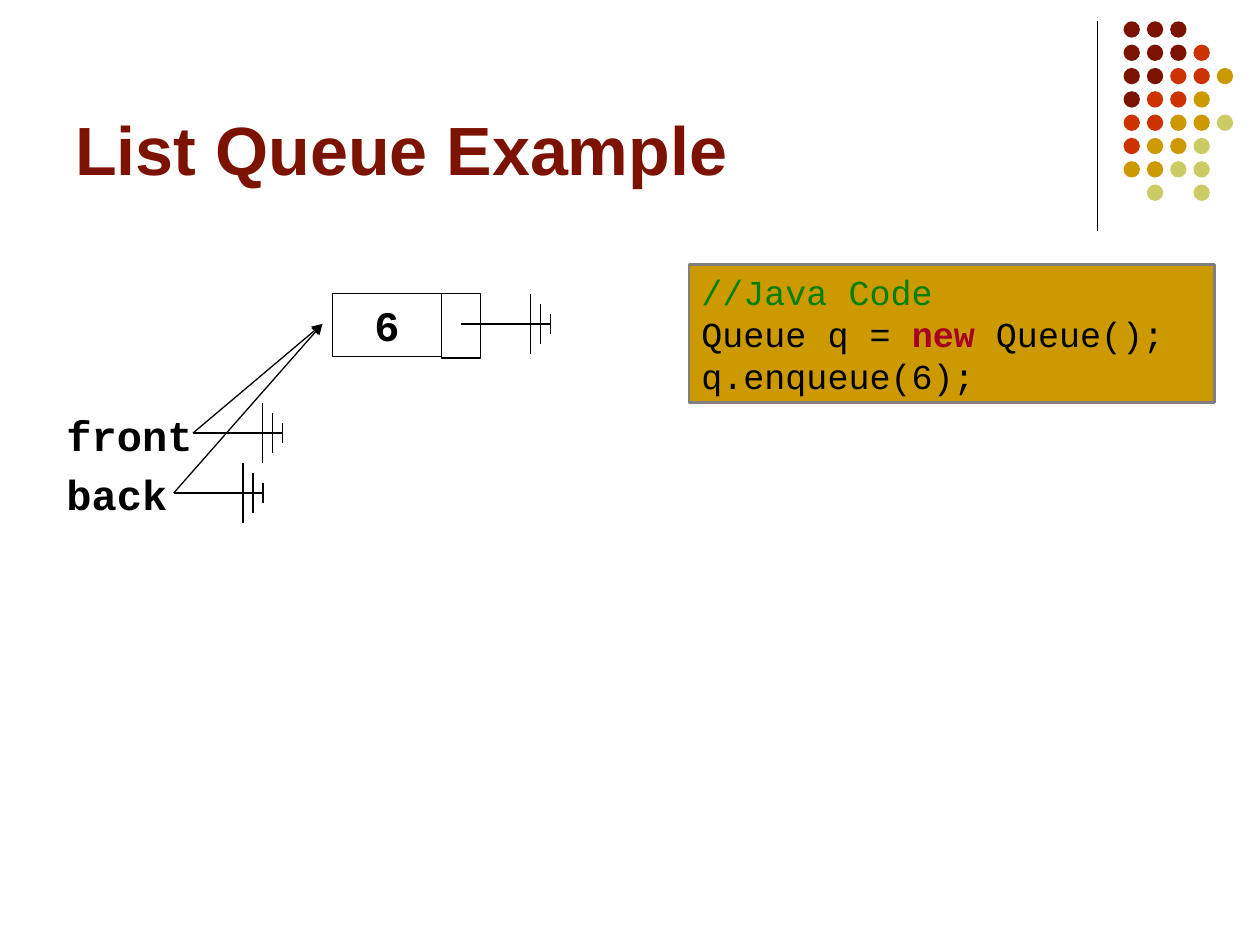
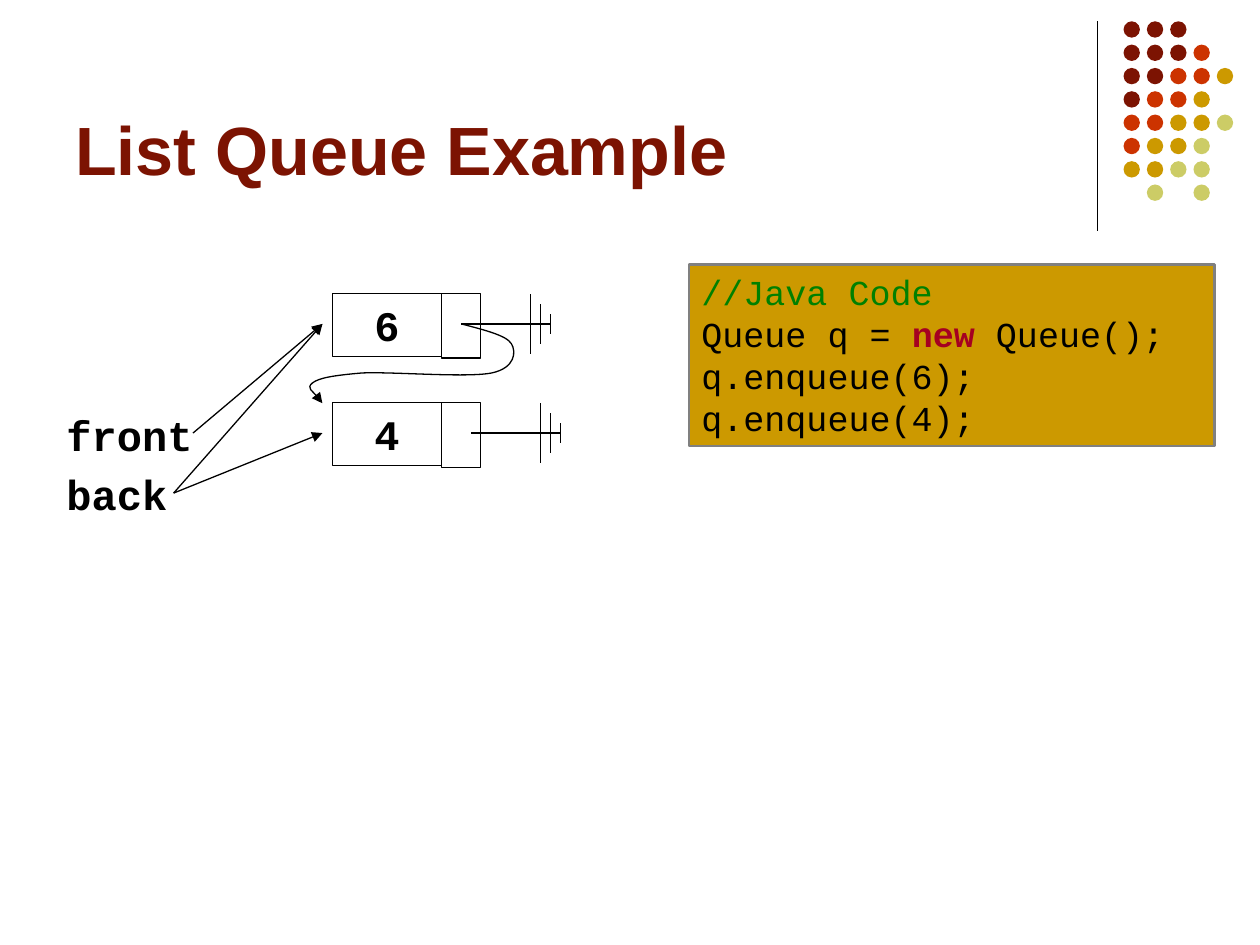
import pptx
import pptx.dml.color
import pptx.enum.shapes
import pptx.enum.text
import pptx.oxml.ns
import pptx.util
from lxml import etree
from pptx.util import Cm

BLACK = "000000"
MAROON = "7C1302"
RED = "CC3300"
GOLD = "CC9900"
OLIVE = "CCCC66"
CODE_FONT = "Courier New"
DOT_COLOURS = {"M": MAROON, "R": RED, "G": GOLD, "O": OLIVE}
DOT_ROWS = ["MMM", "MMMR", "MMRRG", "MRRG", "RRGGO", "RGGO", "GGOO", " O O"]
DOT_PITCH = 0.47

NODE_LEFT, NODE_TOP, NODE_WIDTH, NODE_PITCH = 6.7, 5.92, 2.2, 2.2
FRONT_TAIL = (3.89, 8.73)
BACK_TAIL = (3.5, 9.94)
FIRST_NODE = (6.5, 6.53)
SECOND_NODE = (6.5, 8.73)
FIRST_LINK = (9.3, 6.53)
SECOND_LINK = (9.5, 8.73)
LINK_CURVE = [
    FIRST_LINK,
    (9.75, 6.65), (10.21, 6.76), (10.31, 6.93),
    (10.41, 7.09), (10.39, 7.42), (9.91, 7.52),
    (9.4, 7.62), (7.9, 7.49), (7.29, 7.52),
    (6.71, 7.57), (6.43, 7.62), (6.3, 7.72),
    (6.17, 7.82), (6.48, 8.05), (6.5, 8.13),
]
GROUND_PLATES = [(1.4, 0.6), (1.6, 0.4), (1.8, 0.2)]

CODE_START = [
    [("//Java Code", {"colour": "008000"})],
    [("Queue q = ", {}), ("new", {"colour": "A50021", "bold": True}), (" Queue();", {})],
    [("q.enqueue(6);", {})],
]
STEPS = [
    {
        "values": ["6"],
        "code": CODE_START,
        "code_height": 2.79,
        "arrows": [(BACK_TAIL, FIRST_NODE), (FRONT_TAIL, FIRST_NODE)],
        "grounds": [FIRST_LINK, FRONT_TAIL, BACK_TAIL],
        "curves": [],
    },
    {
        "values": ["6", "4"],
        "code": CODE_START + [[("q.enqueue(4);", {})]],
        "code_height": 3.66,
        "arrows": [(BACK_TAIL, FIRST_NODE), (FRONT_TAIL, FIRST_NODE), (BACK_TAIL, SECOND_NODE)],
        "grounds": [SECOND_LINK, FIRST_LINK],
        "curves": [LINK_CURVE],
    },
]


def rgb(colour):
    return pptx.dml.color.RGBColor.from_string(colour)


def write_text(shape, lines, font=CODE_FONT, size=24, colour=BLACK, bold=True,
               align="LEFT", anchor="TOP", space_before=0):
    frame = shape.text_frame
    frame.word_wrap = True
    frame.vertical_anchor = getattr(pptx.enum.text.MSO_ANCHOR, anchor)
    if isinstance(lines, str):
        lines = [[(lines, {})]]
    for index, line in enumerate(lines):
        paragraph = frame.add_paragraph() if index else frame.paragraphs[0]
        paragraph.alignment = getattr(pptx.enum.text.PP_ALIGN, align)
        paragraph.space_before = pptx.util.Pt(space_before)
        for text, changes in line:
            run = paragraph.add_run()
            run.text = text
            run.font.name = font
            run.font.size = pptx.util.Pt(size)
            run.font.bold = changes.get("bold", bold)
            run.font.color.rgb = rgb(changes.get("colour", colour))


qn = pptx.oxml.ns.qn
shape_types = pptx.enum.shapes.MSO_SHAPE
presentation = pptx.Presentation()
presentation.slide_width = Cm(25.4)
presentation.slide_height = Cm(19.05)

for step in STEPS:
    slide = presentation.slides.add_slide(presentation.slide_layouts[6])

    dots = slide.shapes.add_group_shape()
    for row, letters in enumerate(DOT_ROWS):
        for column, letter in enumerate(letters):
            if letter in DOT_COLOURS:
                dot = dots.shapes.add_shape(
                    shape_types.OVAL, Cm(22.65 + column * DOT_PITCH),
                    Cm(0.43 + row * DOT_PITCH), Cm(0.33), Cm(0.33))
                dot.shadow.inherit = False
                dot.fill.solid()
                dot.fill.fore_color.rgb = rgb(DOT_COLOURS[letter])
                dot.line.fill.background()

    title = slide.shapes.add_textbox(Cm(1.27), Cm(0.33), Cm(20.95), Cm(3.6))
    write_text(title, "List Queue Example", font="Arial", size=39, colour=MAROON, anchor="BOTTOM")

    for name, top in [("front", 8.13), ("back", 9.33)]:
        label = slide.shapes.add_textbox(Cm(1.09), Cm(top), Cm(3.4), Cm(1.27))
        write_text(label, name)

    for row, value in enumerate(step["values"]):
        top = Cm(NODE_TOP + row * NODE_PITCH)
        value_box = slide.shapes.add_shape(
            shape_types.RECTANGLE, Cm(NODE_LEFT), top, Cm(NODE_WIDTH), Cm(1.27))
        link_box = slide.shapes.add_shape(
            shape_types.RECTANGLE, Cm(NODE_LEFT + NODE_WIDTH), top, Cm(0.79), Cm(1.3))
        for box in (value_box, link_box):
            box.shadow.inherit = False
            box.fill.background()
            box.line.color.rgb = rgb(BLACK)
            box.line.width = pptx.util.Pt(0.75)
        write_text(value_box, value, align="CENTER", space_before=15)

    code_box = slide.shapes.add_shape(
        shape_types.RECTANGLE, Cm(13.89), Cm(5.33), Cm(10.59), Cm(step["code_height"]))
    code_box.shadow.inherit = False
    code_box.fill.solid()
    code_box.fill.fore_color.rgb = rgb(GOLD)
    code_box.line.color.rgb = rgb("808080")
    code_box.line.width = pptx.util.Pt(1.5)
    write_text(code_box, step["code"], size=20, bold=False)

    segments = [((22.12, 0.43), (22.12, 4.65), False)]
    segments += [(start, end, True) for start, end in step["arrows"]]
    for x, y in step["grounds"]:
        segments.append(((x, y), (x + 1.8, y), False))
        for offset, half in GROUND_PLATES:
            segments.append(((x + offset, y - half), (x + offset, y + half), False))

    strokes = []
    for start, end, has_arrow in segments:
        connector = slide.shapes.add_connector(
            pptx.enum.shapes.MSO_CONNECTOR.STRAIGHT, *map(Cm, start + end))
        strokes.append((connector, has_arrow))

    for points in step["curves"]:
        start, *controls = [(Cm(x), Cm(y)) for x, y in points]
        builder = slide.shapes.build_freeform(*start)
        builder.add_line_segments(controls, close=False)
        curve = builder.convert_to_shape()
        curve.shadow.inherit = False
        curve.fill.background()
        outline = next(curve.element.iter(qn("a:path")))
        lines = outline.findall(qn("a:lnTo"))
        for index in range(0, len(lines), 3):
            bezier = etree.SubElement(outline, qn("a:cubicBezTo"))
            for line in lines[index:index + 3]:
                bezier.append(line[0])
                outline.remove(line)
        strokes.append((curve, True))

    for stroke, has_arrow in strokes:
        stroke.line.color.rgb = rgb(BLACK)
        stroke.line.width = pptx.util.Pt(0.75)
        properties = stroke.element.spPr
        if has_arrow:
            etree.SubElement(properties.find(qn("a:ln")), qn("a:tailEnd"), type="triangle")
        if properties.find(qn("a:effectLst")) is None:
            etree.SubElement(properties, qn("a:effectLst"))

presentation.save("out.pptx")
